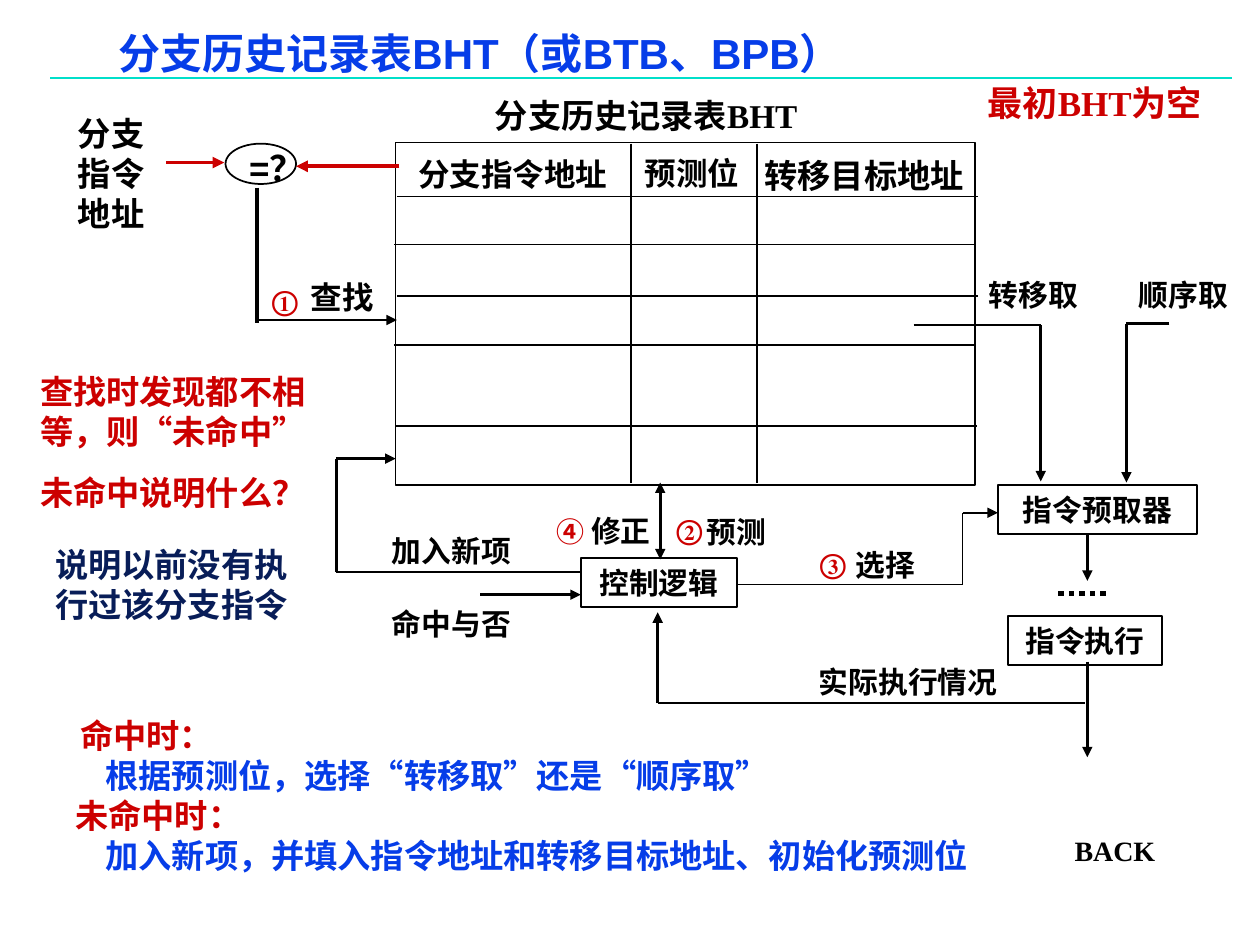
from dataclasses import dataclass

from lxml import etree
from pptx import Presentation
from pptx.dml.color import RGBColor
from pptx.enum.dml import MSO_LINE
from pptx.enum.shapes import MSO_CONNECTOR, MSO_SHAPE
from pptx.enum.text import MSO_ANCHOR, PP_ALIGN
from pptx.oxml.ns import qn
from pptx.util import Inches, Pt

STRAIGHT = MSO_CONNECTOR.STRAIGHT
RECTANGLE = MSO_SHAPE.RECTANGLE
OVAL = MSO_SHAPE.OVAL
CENTER = PP_ALIGN.CENTER
LEFT = PP_ALIGN.LEFT
MIDDLE = MSO_ANCHOR.MIDDLE
DOTTED = MSO_LINE.ROUND_DOT


@dataclass(frozen=True)
class Theme:
    black: str = "000000"
    red: str = "CC0000"
    blue: str = "063DE8"
    navy: str = "081D58"
    rule: str = "00DFCA"
    serif: str = "Times New Roman"
    sans: str = "Arial"
    title: int = 24
    large: int = 20
    body: int = 19
    header: int = 18
    label: int = 17
    small: int = 16
    thin: float = 1
    medium: float = 1.5
    thick: float = 2.25
    dots: float = 3


THEME = Theme()


def apply_format(target, values):
    for name, value in values.items():
        setattr(target, name, value)


def add_run(paragraph, text, size, color, font):
    run = paragraph.add_run()
    run.text = text
    apply_format(run.font, {"size": Pt(size), "name": font, "bold": True})
    run.font.color.rgb = RGBColor.from_string(color)


def add_text(slide, at, text, size=THEME.label, color=THEME.black,
             font=THEME.serif, wrap=True):
    frame = slide.shapes.add_textbox(*map(Inches, at)).text_frame
    frame.word_wrap = wrap
    paragraph = frame.paragraphs[0]
    if text:
        add_run(paragraph, text, size, color, font)
    return frame


def add_outline(slide, kind, at, caption=""):
    outline = slide.shapes.add_shape(kind, *map(Inches, at))
    outline.shadow.inherit = False
    outline.fill.background()
    outline.line.color.rgb = RGBColor.from_string(THEME.black)
    outline.line.width = Pt(THEME.thin)
    if caption:
        frame = outline.text_frame
        apply_format(frame, {"word_wrap": True, "vertical_anchor": MIDDLE})
        frame.paragraphs[0].alignment = CENTER
        add_run(frame.paragraphs[0], caption, THEME.label, THEME.black, THEME.serif)


def add_line(slide, start, end, width=THEME.medium, color=THEME.black,
             heads=(), dash=None):
    connector = slide.shapes.add_connector(STRAIGHT, *map(Inches, (*start, *end)))
    connector.line.color.rgb = RGBColor.from_string(color)
    connector.line.width = Pt(width)
    if dash:
        connector.line.dash_style = dash
    properties = connector.element.spPr
    for head in heads:
        etree.SubElement(properties.find(qn("a:ln")), qn(f"a:{head}"), type="triangle")
    etree.SubElement(properties, qn("a:effectLst"))


def add_route(slide, points, width=THEME.medium, arrow=True):
    last = len(points) - 2
    for step, (start, end) in enumerate(zip(points, points[1:])):
        heads = ("tailEnd",) if arrow and step == last else ()
        add_line(slide, start, end, width, heads=heads)


def add_title(slide):
    add_line(slide, (0.4, 0.62), (9.78, 0.62), THEME.thin, THEME.rule)
    frame = add_text(slide, (0.87, 0.25, 7.51, 0.4), "分支历史记录表BHT（或BTB、BPB）",
                     THEME.title, THEME.blue, THEME.sans)
    apply_format(frame, {
        "margin_left": Inches(0.07), "margin_right": Inches(0.07),
        "margin_top": Inches(0.03), "margin_bottom": Inches(0.03),
        "vertical_anchor": MIDDLE,
    })
    frame.paragraphs[0].line_spacing = 0.87


def add_history_table(slide):
    add_outline(slide, RECTANGLE, (3.14, 1.13, 4.6, 2.72))
    for column in (5.01, 6.01):
        add_line(slide, (column, 1.14), (column, 3.83), THEME.thin)
    for left, row in ((3.15, 1.56), (3.13, 1.94), (3.15, 2.35), (3.13, 2.74), (3.14, 3.38)):
        add_line(slide, (left, row), (left + 4.61, row), THEME.thin)
    add_text(slide, (3.83, 0.71, 3.05, 0.42), "分支历史记录表BHT", THEME.body)
    add_text(slide, (3.22, 1.18, 1.82, 0.4), "分支指令地址", THEME.header)
    add_text(slide, (5.02, 1.17, 0.99, 0.4), "预测位", THEME.header, font=THEME.sans)
    add_text(slide, (5.97, 1.18, 1.86, 0.42), "转移目标地址", THEME.body)


def add_comparison(slide):
    add_text(slide, (0.52, 0.85, 0.87, 1.05), "分支指令地址", THEME.body)
    add_text(slide, (1.88, 1.11, 0.67, 0.77), "=？", THEME.large, font=THEME.sans)
    add_outline(slide, OVAL, (1.79, 1.14, 0.56, 0.32))
    for start, end in (((3.17, 1.32), (2.35, 1.32)), ((1.32, 1.29), (1.78, 1.29))):
        add_line(slide, start, end, THEME.thick, THEME.red, ("tailEnd",))
    add_line(slide, (2.04, 1.49), (2.04, 2.56), THEME.thick)
    add_route(slide, [(2.04, 2.54), (3.15, 2.54)])


def add_pipeline(slide):
    for at, caption in (
        ((7.92, 3.85, 1.58, 0.39), "指令预取器"),
        ((4.61, 4.43, 1.24, 0.39), "控制逻辑"),
        ((8, 4.89, 1.22, 0.39), "指令执行"),
    ):
        add_outline(slide, RECTANGLE, at, caption)
    for route in (
        [(7.25, 2.58), (8.26, 2.58), (8.26, 3.82)],
        [(9.28, 2.57), (8.94, 2.57), (8.94, 3.83)],
        [(8.63, 4.24), (8.63, 4.61)],
        [(8.63, 5.25), (8.63, 6.01)],
        [(8.61, 5.58), (5.22, 5.58), (5.22, 4.86)],
        [(3.81, 4.72), (4.61, 4.72)],
        [(4.61, 4.54), (2.67, 4.54), (2.67, 3.64), (3.14, 3.64)],
    ):
        add_route(slide, route)
    add_route(slide, [(5.86, 4.64), (7.64, 4.64), (7.64, 4.07), (7.92, 4.07)], THEME.thin)
    add_line(slide, (5.24, 3.83), (5.24, 4.44), heads=("headEnd", "tailEnd"))
    add_line(slide, (8.4, 4.71), (8.81, 4.71), THEME.dots, dash=DOTTED)


def add_labels(slide):
    for at, text in (
        ((6.4, 5.22, 1.88, 0.39), "实际执行情况"),
        ((3.01, 4.76, 1.32, 0.39), "命中与否"),
        ((3.01, 4.18, 1.42, 0.39), "加入新项"),
        ((8.94, 2.15, 0.94, 0.39), "顺序取"),
        ((7.75, 2.15, 0.94, 0.39), "转移取"),
        ((6.69, 4.29, 1.12, 0.39), "选择"),
        ((5.51, 4.03, 1.13, 0.39), "预测"),
    ):
        add_text(slide, at, text)
    add_text(slide, (2.37, 2.16, 0.7, 0.4), "查找", THEME.header, wrap=False)
    for at, number in (
        ((2.06, 2.2, 0.48, 0.37), "①"),
        ((5.27, 4.02, 0.4, 0.37), "②"),
        ((6.41, 4.29, 0.4, 0.37), "③"),
    ):
        add_text(slide, at, number, THEME.small, THEME.red)
    correction = add_text(slide, (4.32, 4.02, 1.08, 0.39), "④ ", THEME.small, THEME.red)
    add_run(correction.paragraphs[0], "修正", THEME.label, THEME.black, THEME.serif)


def add_notes_on_hits(slide):
    add_text(slide, (7.74, 0.6, 2.02, 0.77), "最初BHT为空", THEME.large, THEME.red)
    miss = add_text(slide, (0.22, 2.9, 2.4, 1.22), "查找时发现都不相等，则“未命中”",
                    THEME.body, THEME.red, THEME.sans)
    question = miss.add_paragraph()
    question.space_before = Pt(11.9)
    add_run(question, "未命中说明什么？", THEME.body, THEME.red, THEME.sans)
    add_text(slide, (0.34, 4.27, 2.13, 0.74), "说明以前没有执行过该分支指令",
             THEME.body, THEME.navy)
    summary = add_text(slide, (0, 5.63, 8.15, 1.37), "")
    for position, (indent, text, color) in enumerate((
        (0.54, "命中时：", THEME.red),
        (0.74, "根据预测位，选择“转移取”还是“顺序取”", THEME.blue),
        (0.5, "未命中时：", THEME.red),
        (0.74, "加入新项，并填入指令地址和转移目标地址、初始化预测位", THEME.blue),
    )):
        paragraph = summary.add_paragraph() if position else summary.paragraphs[0]
        paragraph.alignment = LEFT
        paragraph._p.get_or_add_pPr().set("marL", str(Inches(indent)))
        add_run(paragraph, text, THEME.body, color, THEME.sans)
    add_text(slide, (8.43, 6.57, 1.17, 0.37), "BACK", THEME.small)


def main():
    deck = Presentation()
    apply_format(deck, {"slide_width": Inches(10), "slide_height": Inches(7.5)})
    slide = deck.slides.add_slide(deck.slide_layouts[6])
    for add_part in (add_title, add_history_table, add_comparison,
                     add_pipeline, add_labels, add_notes_on_hits):
        add_part(slide)
    deck.save("out.pptx")


if __name__ == "__main__":
    main()
